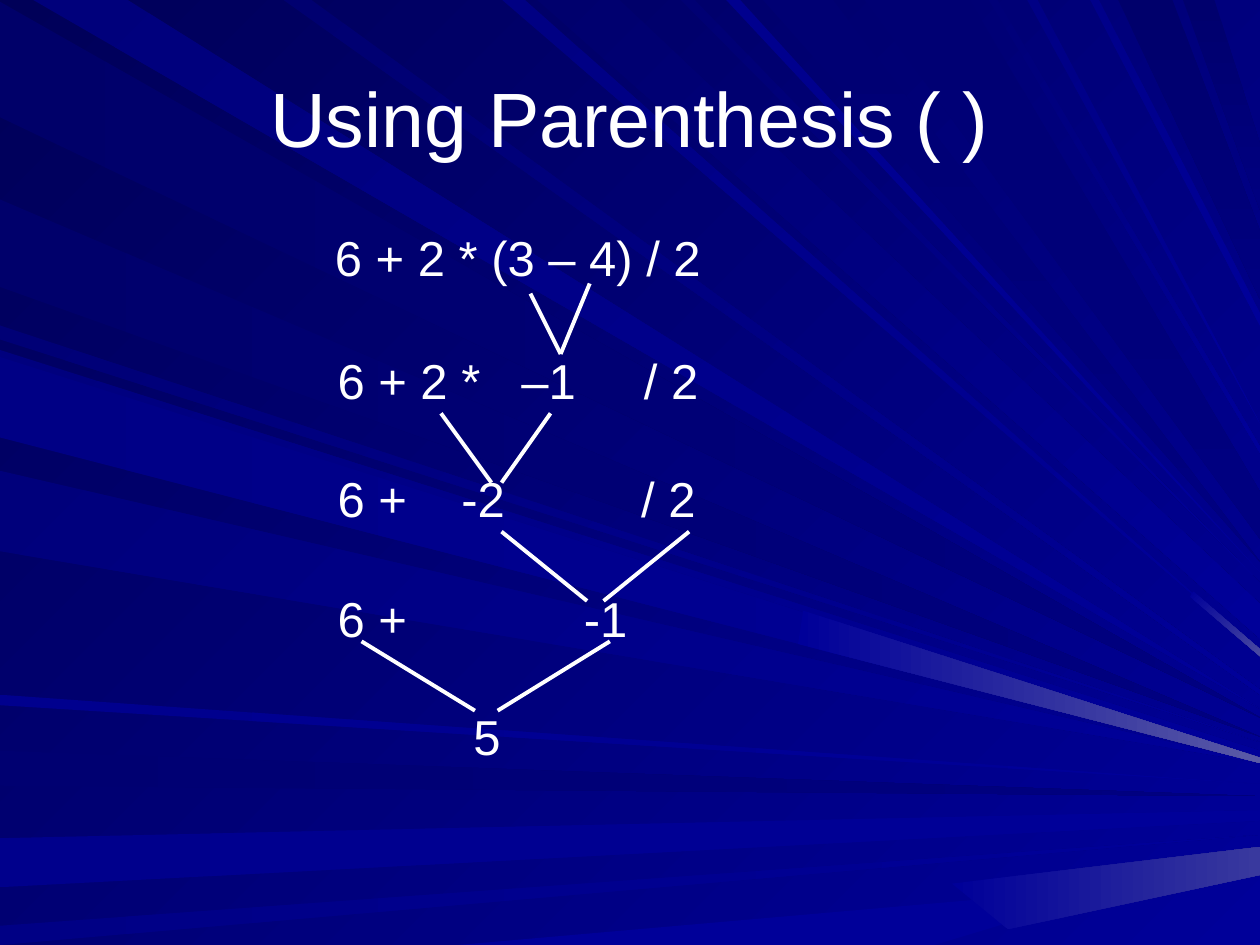
from lxml import etree
from pptx import Presentation
from pptx.dml.color import RGBColor
from pptx.enum.shapes import MSO_CONNECTOR as CONN
from pptx.enum.text import MSO_ANCHOR as ANCHOR, PP_ALIGN as ALIGN
from pptx.oxml.ns import qn
from pptx.util import Pt

rgb = RGBColor.from_string
WHITE, NAVY, BLUE = "FFFFFF", "000080", "000099"
FLAT, SLANT, STEEP = 0, 45, 90


def add_text(s, text, x, y, w, h, size=28, align=ALIGN.LEFT, anchor=ANCHOR.TOP, tabs=()):
    tf = s.shapes.add_textbox(Pt(x), Pt(y), Pt(w), Pt(h)).text_frame
    tf.word_wrap = True
    tf.vertical_anchor = anchor
    p = tf.paragraphs[0]
    p.alignment = align
    if tabs:
        tab_list = etree.SubElement(p._p.get_or_add_pPr(), qn("a:tabLst"))
        for pos in tabs:
            etree.SubElement(tab_list, qn("a:tab"), pos=str(Pt(pos)), algn="l")
    r = p.add_run()
    r.text = text
    r.font.size = Pt(size)
    r.font.name = "Arial"
    r.font.color.rgb = rgb(WHITE)


prs = Presentation()
W, H = 720, 540
prs.slide_width, prs.slide_height = Pt(W), Pt(H)
s = prs.slides.add_slide(prs.slide_layouts[6])

# Rays run from a stretch of one edge to one or two heights on the right edge
rays = [
    ("left", FLAT, "000069", NAVY, 1, 67, 410),
    ("top", SLANT, "00007B", BLUE, 19, 73, 405),
    ("left", FLAT, "000071", NAVY, 429, 449, 455),
    ("left", FLAT, "00008C", BLUE, 479, 507, 463, 469),
    ("left", FLAT, "000085", BLUE, 529, 540, 477),
    ("bottom", FLAT, BLUE, BLUE, 262, 534, 484, 500),
    ("left", SLANT, "000076", BLUE, 186, 194, 424),
    ("left", FLAT, "00006B", NAVY, 114, 164, 421),
    ("top", SLANT, "000083", BLUE, 287, 300, 373),
    ("top", SLANT, "00006D", BLUE, 307, 354, 345, 365),
    ("top", SLANT, "000073", BLUE, 389, 397, 333),
    ("top", STEEP, "000073", NAVY, 436, 476, 321),
    ("top", STEEP, "00006B", NAVY, 639, 670, 132, 171),
    ("top", STEEP, "00006D", NAVY, 676, 694, 82, 120),
    ("left", SLANT, "00007E", BLUE, 200, 246, 429, 433),
    ("left", SLANT, "00007B", BLUE, 269, 315, 436),
    ("left", FLAT, "00008E", BLUE, 397, 403, 448),
    ("top", SLANT, "000070", BLUE, 162, 178, 394, 397),
    ("top", SLANT, "00008E", BLUE, 415, 423, 327),
    ("top", STEEP, "000073", NAVY, 494, 554, 281, 308),
    ("top", SLANT, "000078", BLUE, 565, 570, 255, 259),
    ("top", SLANT, "000085", BLUE, 587, 593, 242),
    ("top", SLANT, "00008A", BLUE, 623, 628, 179, 186),
    ("left", FLAT, "000085", BLUE, 204, 250, 433, 436),
]
patches = []
for edge, angle, start, end, a, b, *tips in rays:
    if edge == "left":
        base = [(0, b), (0, a)]
    else:
        y = 0 if edge == "top" else H
        base = [(a, y), (b, y)]
    patches.append((angle, start, end, base + [(W, tip) for tip in tips]))

# Paler ends of three rays
patches += [
    (FLAT, BLUE, "39399E", [(W, 500), (W, 484), (544, 505), (576, 531)]),
    (SLANT, BLUE, "4A4AA1", [(W, 375), (W, 371), (682, 338), (680, 341)]),
    (FLAT, BLUE, "5A5AA6", [(W, 433), (459, 349), (456, 368), (W, 436)]),
]

fills = [(s.background.fill, SLANT, "000058", BLUE)]
ray_group = s.shapes.add_group_shape()
for angle, start, end, corners in patches:
    fb = ray_group.shapes.build_freeform(*corners[0], scale=Pt(1))
    fb.add_line_segments(corners[1:], close=True)
    sp = fb.convert_to_shape()
    sp.shadow.inherit = False
    sp.line.fill.background()
    fills.append((sp.fill, angle, start, end))

# Colour the background and the rays
for fill, angle, start, end in fills:
    if start == end:
        fill.solid()
        fill.fore_color.rgb = rgb(start)
    else:
        fill.gradient()
        fill.gradient_angle = -angle % 360
        for stop, color in zip(fill.gradient_stops, (start, end)):
            stop.color.rgb = rgb(color)

# Title
add_text(s, "Using Parenthesis ( )", 36, 21.6, 648, 90, size=44,
         align=ALIGN.CENTER, anchor=ANCHOR.MIDDLE)

# Evaluation steps: text, left, top, width, tab stops
steps = [
    ("6 + 2 * (3 – 4) / 2", 184.3, 126.7, 226, ()),
    ("6 + 2 *\t–1\t/ 2", 185.8, 196.6, 224, (105.1, 175.1)),
    ("6 +\t-2\t/ 2", 185.8, 264.2, 222, (70.8, 173.5)),
    ("6 +\t-1", 185.8, 332.6, 234, (140.8,)),
    ("5", 263.5, 400.3, 31, ()),
]
for text, x, y, w, tabs in steps:
    add_text(s, text, x, y, w, 41, tabs=tabs)

# Pairs of lines from two operands down to their result:
# operand xs, result xs, operand heights, result height
joins = [
    ((303.1, 337), (320.4, 320.4), (167.8, 162), 202.3),
    ((252, 314.6), (280.8, 286.6), (236.2, 236.2), 275.8),
    ((286.6, 393.8), (335.5, 344.9), (303.8, 303.8), 343.4),
    ((206.6, 348.5), (271.4, 284.4), (366.5, 366.5), 406.1),
]
for operand_xs, result_xs, tops, bottom in joins:
    group = s.shapes.add_group_shape()
    for x1, x2, top in zip(operand_xs, result_xs, tops):
        ln = group.shapes.add_connector(CONN.STRAIGHT, Pt(x1), Pt(top), Pt(x2), Pt(bottom))
        ln.line.color.rgb = rgb(WHITE)
        ln.line.width = Pt(2.25)
        etree.SubElement(ln._element.spPr, qn("a:effectLst"))

prs.save("out.pptx")
